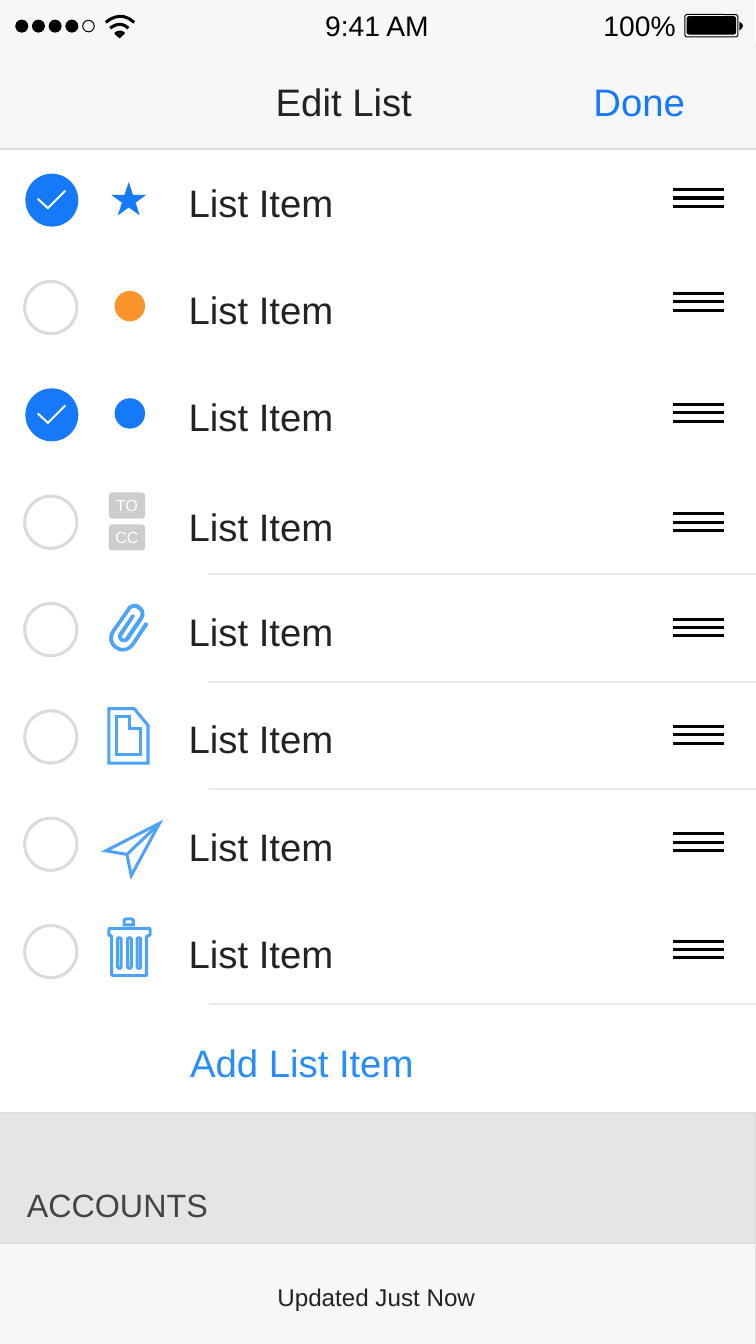
from lxml.etree import SubElement
from pptx import Presentation
from pptx.dml.color import RGBColor
from pptx.enum.shapes import MSO_CONNECTOR, MSO_SHAPE
from pptx.enum.text import MSO_ANCHOR, MSO_AUTO_SIZE, PP_ALIGN
from pptx.oxml.ns import qn
from pptx.util import Inches, Pt

COLS, ROWS = 104.2, 185.3
FIRST_ROW, ROW_PITCH = 27.6, 14.8
ICON_LEFT = 15
BLUE, SKY, ORANGE = "1579F9", "4DA2FA", "FA952E"
BLACK, WHITE, INK, GREY = "000000", "FFFFFF", "232323", "444444"
BAR, EDGE, RING, BADGE, RULE = "F7F7F7", "DEDEDE", "DBDBDB", "CDCDCD", "EAEAEA"

CLIP = [
    (35, 22), (31, 27, 21, 35, 9, 27), (-3, 19, 0, 6, 4, 1), (25, -29),
    (25, -30, 26, -32, 30, -34), (34, -36, 39, -36, 43, -33),
    (47, -30, 50, -25, 49, -21), (49, -17, 47, -15, 47, -14), (28, 14),
    (26, 17, 21, 19, 16, 16), (12, 13, 12, 8, 14, 5), (31, -20),
    (32, -21, 33, -21, 35, -20), (36, -20, 36, -18, 35, -17), (19, 8),
    (18, 9, 18, 10, 19, 12), (21, 13, 22, 12, 23, 11), (42, -17),
    (43, -18, 46, -24, 40, -28), (37, -30, 35, -31, 32, -29),
    (30, -28, 29, -26, 29, -26), (8, 4), (8, 5, 1, 15, 12, 23),
    (23, 30, 30, 20, 31, 19), (49, -9), (50, -10, 52, -10, 53, -9),
    (54, -8, 54, -7, 54, -6),
]
PAGE = [
    [(10, 24), (10, -28), (29, -28), (29, -11), (44, -11), (44, 24)],
    [(35, -39), (0, -39), (0, 36), (54, 36), (54, -16)],
]
PLANE = [(70, -29), (-4, 9), (25, 14), (31, 43)]
BIN_HANDLE = [(21, -41), (21, -37), (34, -37), (34, -41),
              (34, -45, 32, -45, 30, -45), (25, -45), (21, -45, 21, -43, 21, -41)]
BIN_BODY = [
    (57, -30), (57, -31, 56, -32, 55, -32), (2, -32), (1, -32, 0, -31, 0, -30),
    (0, -25), (0, -23, 1, -22, 2, -22), (3, -22, 4, -21, 4, -20), (4, 31),
    (4, 32, 5, 33, 6, 33), (50, 33), (52, 33, 52, 32, 52, 31), (52, -20),
    (52, -21, 53, -22, 55, -22), (56, -22, 57, -23, 57, -25),
]
WIFI = [[(146, 31), (146, 31, 165, 12, 185, 31)],
        [(152, 39), (152, 39, 165, 27, 177, 39)],
        [(159, 47), (159, 47, 165, 41, 171, 47)]]
TICK = [(0, -2), (14, 11), (38, -13)]


def rgb(color):
    """Turn a hex string into a colour."""
    return RGBColor.from_string(color)


def slat(r):
    """Return the outline of a bin slat whose right edge is at r."""
    return [(r, 20), (r, 22, r - 1, 23, r - 2, 23), (r - 4, 23, r - 5, 22, r - 5, 20),
            (r - 5, -17), (r - 5, -18, r - 4, -19, r - 2, -19),
            (r - 1, -19, r, -18, r, -17)]


def flatten(contour, steps=8):
    """Turn corners and cubic curves into a list of points."""
    points = []
    for item in contour:
        if len(item) == 2:
            points.append(item)
            continue
        x0, y0 = points[-1]
        x1, y1, x2, y2, x3, y3 = item
        for i in range(1, steps + 1):
            t = i / steps
            a, b, c, d = (1 - t) ** 3, 3 * t * (1 - t) ** 2, 3 * t * t * (1 - t), t ** 3
            points.append((a * x0 + b * x1 + c * x2 + d * x3,
                           a * y0 + b * y1 + c * y2 + d * y3))
    return points


def write(tf, text, size=38, color=INK, align=PP_ALIGN.LEFT, spacing=1.2, inset=0.0):
    """Write one formatted paragraph, centred vertically."""
    tf.vertical_anchor = MSO_ANCHOR.MIDDLE
    tf.margin_left = tf.margin_right = tf.margin_top = tf.margin_bottom = Inches(inset)
    p = tf.paragraphs[0]
    p.alignment, p.line_spacing = align, spacing
    r = p.add_run()
    r.text = text
    r.font.size, r.font.name = Pt(size), "Arial"
    r.font.color.rgb = rgb(color)


class Screen:
    """Draws on one slide in grid cells."""

    def __init__(self, prs):
        """Add a title-only slide and measure its grid."""
        self.s = prs.slides.add_slide(prs.slide_layouts[5])
        self.col, self.row = prs.slide_width / COLS, prs.slide_height / ROWS

    def x(self, cols):
        """Convert columns to a length."""
        return round(cols * self.col)

    def y(self, rows):
        """Convert rows to a length."""
        return round(rows * self.row)

    def box(self, x, y, w, h):
        """Convert a cell box to lengths."""
        return self.x(x), self.y(y), self.x(w), self.y(h)

    def paint(self, sp, fill=None, line=None, width=1):
        """Set fill and outline."""
        if fill:
            sp.fill.solid()
            sp.fill.fore_color.rgb = rgb(fill)
        else:
            sp.fill.background()
        if line:
            sp.line.color.rgb, sp.line.width = rgb(line), Pt(width)
            SubElement(sp._element.spPr.find(qn("a:ln")), qn("a:miter"), lim="400000")
        else:
            sp.line.fill.background()

    def title(self, text, x, y, w, h, indent, **style):
        """Turn the title placeholder into the navigation bar."""
        sp = self.s.shapes.title
        sp.left, sp.top, sp.width, sp.height = self.box(x, y, w, h)
        self.paint(sp, **style)
        sp.text_frame.auto_size = MSO_AUTO_SIZE.NONE
        write(sp.text_frame, text)
        sp.text_frame.margin_left = self.x(indent)

    def shape(self, kind, x, y, w, h, adj=None, **style):
        """Add a preset shape."""
        sp = self.s.shapes.add_shape(kind, *self.box(x, y, w, h))
        sp.shadow.inherit = False
        if adj is not None:
            sp.adjustments[0] = adj
        self.paint(sp, **style)
        return sp

    def disc(self, x, middle, size, **style):
        """Add a circle centred on a row."""
        self.shape(MSO_SHAPE.OVAL, x, middle - size / 2, size, size, **style)

    def text(self, text, x, y, w, h, **style):
        """Add an unwrapped text box."""
        tf = self.s.shapes.add_textbox(*self.box(x, y, w, h)).text_frame
        tf.word_wrap, tf.auto_size = False, MSO_AUTO_SIZE.SHAPE_TO_FIT_TEXT
        write(tf, text, inset=0.05, **style)

    def line(self, x1, y1, x2, y2, color, width):
        """Add a straight line."""
        c = self.s.shapes.add_connector(MSO_CONNECTOR.STRAIGHT, self.x(x1), self.y(y1),
                                        self.x(x2), self.y(y2))
        c.line.color.rgb, c.line.width = rgb(color), Pt(width)
        SubElement(c._element.spPr, qn("a:effectLst"))

    def outline(self, contours, x=0, y=0, close=True, **style):
        """Add a freeform given in tenths of a cell from x, y."""
        fb = None
        for contour in contours:
            pts = [(self.x(x + px / 10), self.y(y + py / 10)) for px, py in flatten(contour)]
            if fb is None:
                fb = self.s.shapes.build_freeform(*pts[0])
            else:
                fb.move_to(*pts[0])
            fb.add_line_segments(pts[1:], close=close)
        sp = fb.convert_to_shape()
        sp.shadow.inherit = False
        self.paint(sp, **style)

    def status_bar(self):
        """Draw signal, time and battery."""
        self.shape(MSO_SHAPE.RECTANGLE, -0.2, -3.6, 104.3, 14.3, fill=BAR)
        for i in range(4):
            self.disc(2.1 + 2.3 * i, 3.6, 1.8, fill=BLACK)
        self.disc(11.4, 3.6, 1.6, line=BLACK)
        self.outline(WIFI, close=False, line=BLACK, width=3)
        self.outline([[(171, 47), (165, 53), (158, 47)]], fill=BLACK)
        for label, x, w in (("9:41 AM", 44.1, 15.7), ("100%", 82.6, 11.1)):
            self.text(label, x, 0.7, w, 5.6, size=28, color=BLACK,
                      align=PP_ALIGN.CENTER, spacing=1)
        self.shape(MSO_SHAPE.ROUNDED_RECTANGLE, 94.4, 2, 7.3, 3.1, adj=0.1, line=BLACK)
        self.shape(MSO_SHAPE.ROUNDED_RECTANGLE, 94.7, 2.3, 6.7, 2.4, adj=0.12,
                   fill=BLACK, line=BLACK)
        self.outline([[(1019, 30), (1019, 42), (1019, 42, 1030, 35, 1019, 30)]], fill=BLACK)

    def icon(self, name, y):
        """Draw the icon of a list row."""
        stroke = dict(x=ICON_LEFT, y=y, line=SKY, width=3)
        if name == "star":
            self.shape(MSO_SHAPE.STAR_5_POINT, 15.3, y - 2.5, 4.9, 4.6, fill=BLUE)
        elif name in (ORANGE, BLUE):
            self.disc(15.8, y - 0.2, 4.2, fill=name)
        elif name == "badges":
            for label, top in (("TO", -4.1), ("CC", 0.3)):
                sp = self.shape(MSO_SHAPE.ROUNDED_RECTANGLE, ICON_LEFT, y + top, 5, 3.6,
                                adj=0.13, fill=BADGE)
                write(sp.text_frame, label, size=16, color=WHITE,
                      align=PP_ALIGN.CENTER, spacing=1)
        elif name == "clip":
            self.outline([CLIP], ICON_LEFT, y, fill=SKY)
        elif name == "page":
            self.outline(PAGE, **stroke)
        elif name == "plane":
            self.outline([PLANE], **stroke)
            self.line(17.6, y + 1.3, 21.7, y - 2.6, SKY, 3)
        elif name == "bin":
            self.outline([BIN_HANDLE], **stroke)
            self.outline([slat(r) for r in (44, 31, 17)] + [BIN_BODY], **stroke)

    def list_row(self, y, icon, checked, ruled, text_shift, grip_shift):
        """Draw one list row centred on y."""
        if checked:
            self.disc(3.5, y, 7.3, fill=BLUE)
            self.outline([TICK], 5.2, y, close=False, line=WHITE, width=2)
        else:
            self.disc(3.4, y, 7.2, line=RING, width=3)
        self.icon(icon, y)
        self.text("List Item", 25.5, y - 4.1 + text_shift, 22.4, 7.4)
        for step in (-1, 0, 1):
            grip = y - 0.3 + grip_shift + 1.15 * step
            self.line(92.8, grip, 99.8, grip, BLACK, 3)
        if ruled:
            self.line(28.8, y + 7.2, COLS, y + 7.2, RULE, 2)


def main():
    """Build the list editing screen."""
    prs = Presentation()
    prs.slide_width, prs.slide_height = Inches(10.42), Inches(18.53)
    screen = Screen(prs)
    screen.title("Edit List", -0.2, 6.2, 104.7, 14.3, 38.2, fill=BAR, line=EDGE, width=2)
    screen.status_bar()
    screen.text("Done", 81.3, 9.65, 18, 7.4, color=BLUE)
    rows = [("star", True, False, 0, 0), (ORANGE, False, False, 0, -0.5),
            (BLUE, True, False, 0, 0), ("badges", False, True, 0.3, 0.3),
            ("clip", False, True, 0, 0), ("page", False, True, 0, 0),
            ("plane", False, False, 0, 0), ("bin", False, True, 0, 0)]
    for i, row in enumerate(rows):
        screen.list_row(FIRST_ROW + ROW_PITCH * i, *row)
    screen.text("Add List Item", 25.7, 142.2, 33.1, 7.2, color="288DFA")
    footer = screen.shape(MSO_SHAPE.RECTANGLE, -0.5, 171.4, 104.7, 14,
                          fill=BAR, line=EDGE, width=2)
    write(footer.text_frame, "Updated Just Now", size=24, align=PP_ALIGN.CENTER)
    screen.shape(MSO_SHAPE.RECTANGLE, -0.2, 153.5, 104.3, 17.9, fill="E5E5E5",
                 line=EDGE, width=2)
    screen.text("ACCOUNTS", 3.2, 162.4, 26.3, 6.4, size=32, color=GREY)
    prs.save("out.pptx")


if __name__ == "__main__":
    main()
